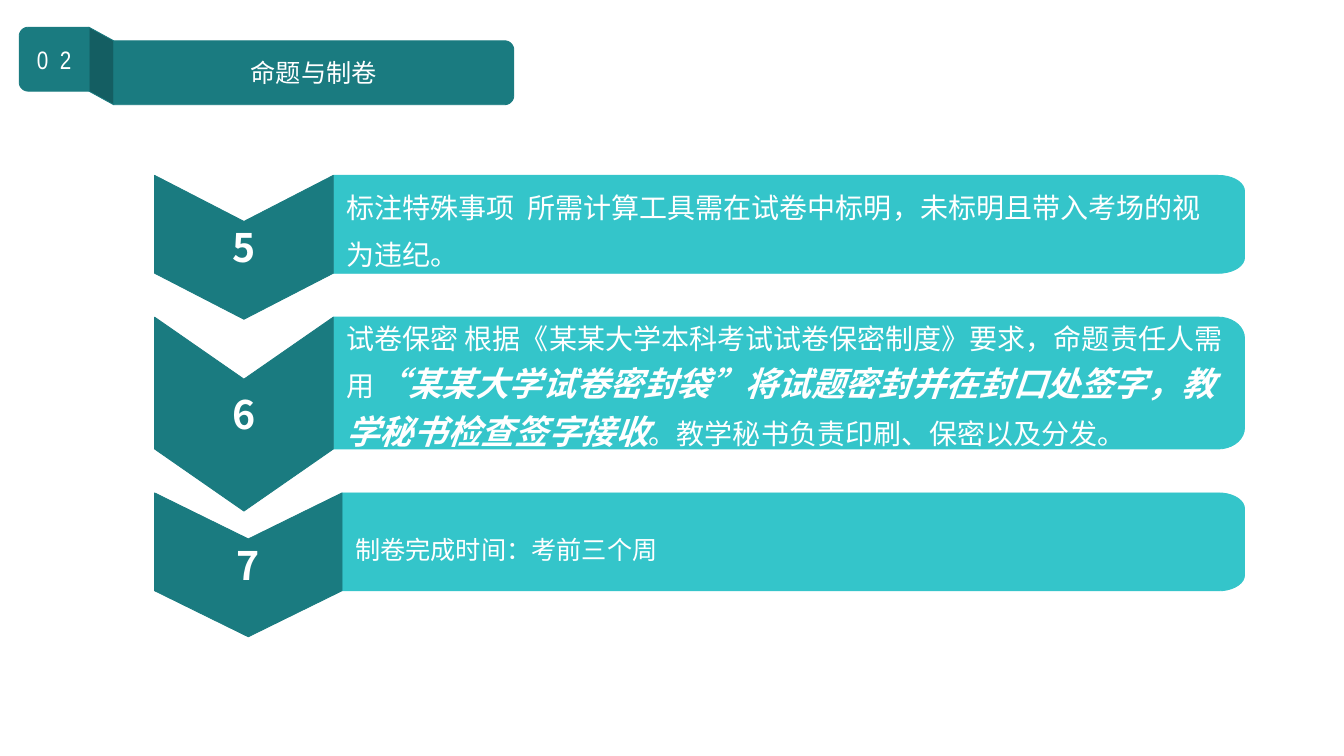
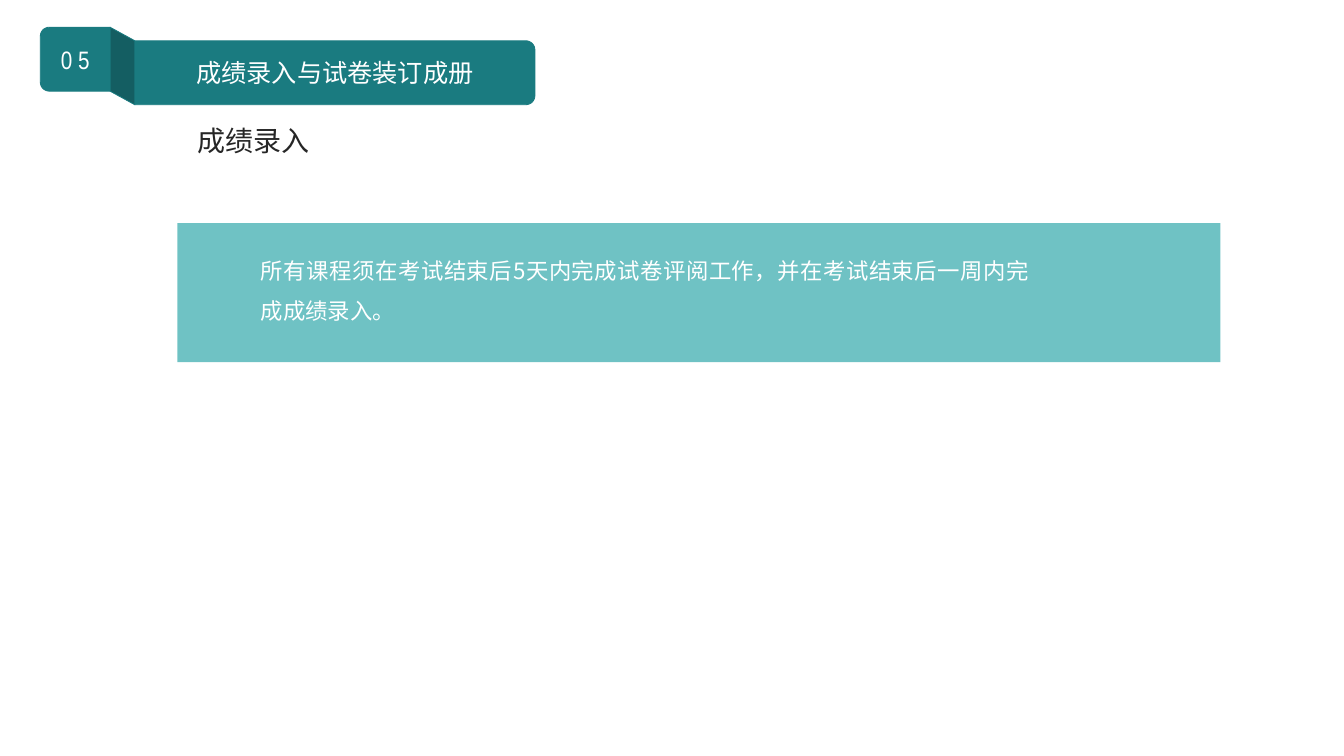
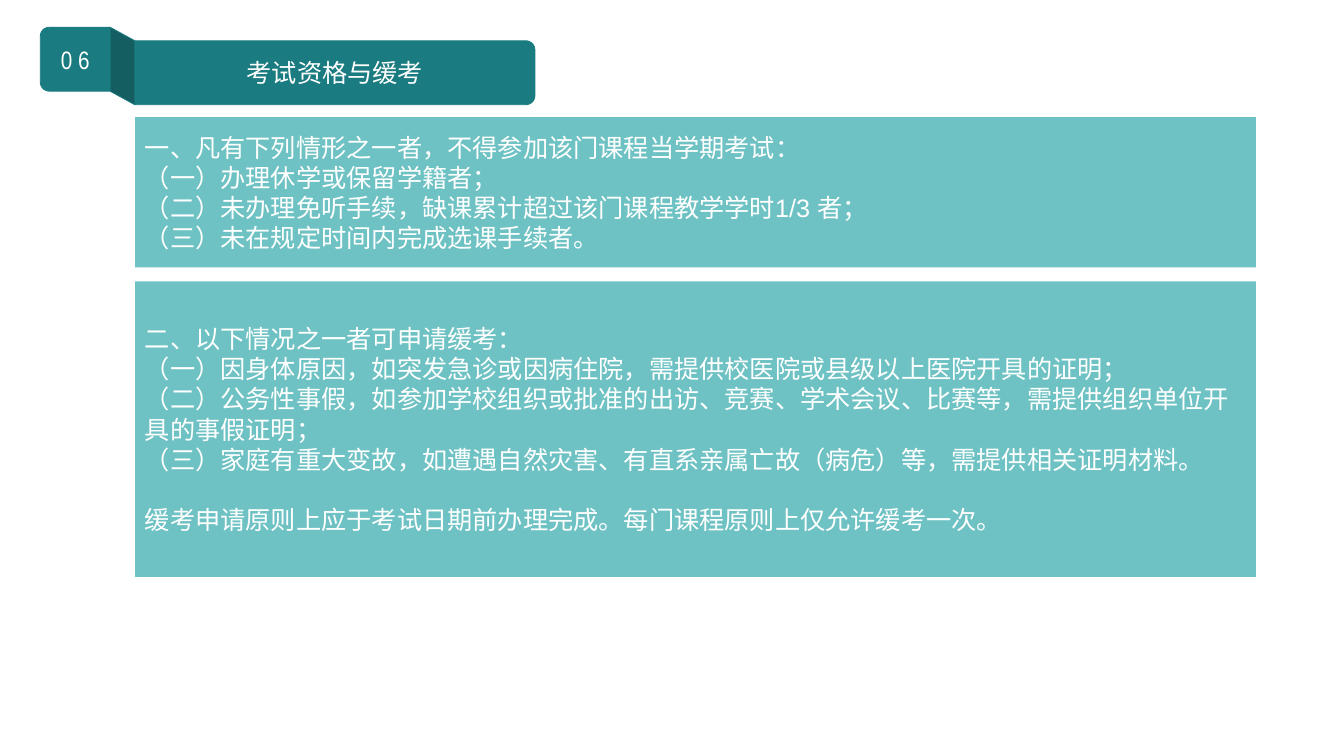
from dataclasses import dataclass
from math import cos, radians, sin

from lxml import etree
from pptx import Presentation
from pptx import util as u
from pptx.dml.color import RGBColor
from pptx.enum import lang, shapes, text
from pptx.oxml import ns

SLIDE_WIDTH, SLIDE_HEIGHT = u.Inches(13.33), u.Inches(7.5)

TEAL = RGBColor(0x1A, 0x7B, 0x80)
FOLD_TEAL = RGBColor(0x14, 0x5E, 0x62)
CARD_TURQUOISE = RGBColor(0x34, 0xC5, 0xCA)
PANEL_TEAL = RGBColor(0x33, 0xA9, 0xAB)
WHITE = RGBColor(0xFF, 0xFF, 0xFF)
INK = RGBColor(0x26, 0x26, 0x26)

CHINESE_FONT = "Noto Sans CJK SC"
CENTER = text.PP_ALIGN.CENTER
LEFT = text.PP_ALIGN.LEFT
JUSTIFY = text.PP_ALIGN.JUSTIFY
MIDDLE = text.MSO_ANCHOR.MIDDLE
TOP = text.MSO_ANCHOR.TOP
NO_INSETS = (0, 0, 0, 0)
CARD_INSETS = (0.13, 0, 0.17, 0)
PANEL_INSETS = (0.1, 0.05, 0.1, 0.05)


@dataclass
class Box:
    """A rectangle in percent of the slide's width and height."""
    left: float
    top: float
    width: float
    height: float

    def point(self, x, y):
        """EMU position of a point given in percent of this box."""
        return (round(SLIDE_WIDTH * (self.left + self.width * x / 100) / 100),
                round(SLIDE_HEIGHT * (self.top + self.height * y / 100) / 100))

    def inner(self, left, top, width, height):
        """A box inside this one, given in percent of it."""
        return Box(self.left + self.width * left / 100,
                   self.top + self.height * top / 100,
                   self.width * width / 100, self.height * height / 100)

    def frame(self):
        left, top = self.point(0, 0)
        right, bottom = self.point(100, 100)
        return left, top, right - left, bottom - top


@dataclass
class Span:
    """A run of text; spacing is extra letter spacing in points."""
    words: str
    size: float
    color: RGBColor = WHITE
    font: str = CHINESE_FONT
    bold: bool = False
    italic: bool = False
    spacing: float = 0


def write(shape, paragraphs, align=LEFT, anchor=MIDDLE, insets=NO_INSETS,
          line_spacing=1.0, wrap=True):
    """Fill a shape with paragraphs, each a list of spans."""
    frame = shape.text_frame
    frame.word_wrap = wrap
    frame.vertical_anchor = anchor
    (frame.margin_left, frame.margin_top, frame.margin_right,
     frame.margin_bottom) = map(u.Inches, insets)
    for index, spans in enumerate(paragraphs):
        paragraph = frame.add_paragraph() if index else frame.paragraphs[0]
        paragraph.alignment = align
        paragraph.line_spacing = line_spacing
        for span in spans:
            add_span(paragraph, span)


def add_span(paragraph, span):
    run = paragraph.add_run()
    run.text = span.words
    font = run.font
    font.name, font.size = span.font, u.Pt(span.size)
    font.bold, font.italic = span.bold, span.italic
    font.color.rgb = span.color
    font.language_id = lang.MSO_LANGUAGE_ID.SIMPLIFIED_CHINESE
    properties = run._r.get_or_add_rPr()
    if span.spacing:
        properties.set("spc", str(round(span.spacing * 100)))
    east_asian = etree.SubElement(properties, ns.qn("a:ea"))
    east_asian.set("typeface", CHINESE_FONT)


def add_outline(slide, box, points, fill, line=TEAL):
    """Closed freeform whose points are in percent of the box."""
    corners = [box.point(x, y) for x, y in points]
    builder = slide.shapes.build_freeform(*corners[0], scale=1.0)
    builder.add_line_segments(corners[1:], close=True)
    shape = builder.convert_to_shape()
    shape.shadow.inherit = False
    shape.fill.solid()
    shape.fill.fore_color.rgb = fill
    shape.line.color.rgb = line
    shape.line.width = u.Pt(0.6)
    return shape


def right_rounded(radius_x, radius_y):
    """Outline with its two right corners rounded, in percent."""
    points = [(0, 0)]
    for first_angle, center_y in ((-90, radius_y), (0, 100 - radius_y)):
        for angle in range(first_angle, first_angle + 91, 10):
            points.append((100 - radius_x + radius_x * cos(radians(angle)),
                           center_y + radius_y * sin(radians(angle))))
    return points + [(0, 100)]


def left_rounded(radius_x, radius_y):
    return [(100 - x, y) for x, y in right_rounded(radius_x, radius_y)]


def add_header(slide, left, number, title):
    """Folded ribbon: numbered tab, dark fold and title bar."""
    box = Box(left, 3.6, 36.8, 10.25)
    bar = add_outline(slide, box.inner(19.1, 17.5, 80.9, 82.5),
                      right_rounded(2.3, 14), TEAL)
    write(bar, [[Span(title, 18)]], CENTER)
    add_outline(slide, box.inner(14.1, 0, 5, 100),
                [(0, 0), (100, 17.5), (100, 100), (0, 82.5)], FOLD_TEAL)
    tab = add_outline(slide, box.inner(0, 0, 14.1, 82.5),
                      left_rounded(13, 14), TEAL)
    write(tab, [number], CENTER)


def tab_number(first, second, spacing=0):
    style = {"size": 18, "font": "Arial Narrow"}
    return [Span(first, **style), Span(" ", spacing=spacing, **style),
            Span(second, **style)]


def add_step(slide, box, number, spans, line_spacing, chevron_width):
    """Text card with a numbered chevron hanging below its left end."""
    card = add_outline(
        slide, box.inner(chevron_width, 0, 100 - chevron_width, 100),
        right_rounded(2.9, 16), CARD_TURQUOISE, CARD_TURQUOISE)
    write(card, [spans], insets=CARD_INSETS, line_spacing=line_spacing)
    chevron = add_outline(
        slide, box.inner(0, 0, chevron_width, 147),
        [(0, 0), (50, 32), (100, 0), (100, 68), (50, 100), (0, 68)], TEAL)
    write(chevron, [[Span(number, 28, bold=True)]], CENTER)


def add_panel(slide, box):
    """Translucent teal rectangle."""
    panel = slide.shapes.add_shape(shapes.MSO_SHAPE.RECTANGLE, *box.frame())
    panel.shadow.inherit = False
    panel.fill.solid()
    panel.fill.fore_color.rgb = PANEL_TEAL
    panel.line.fill.background()
    color = panel._element.spPr.find(".//" + ns.qn("a:srgbClr"))
    etree.SubElement(color, ns.qn("a:alpha")).set("val", "70000")
    return panel


def add_rules(slide, box, lines):
    panel = add_panel(slide, box)
    write(panel, [[Span(line, 18, font="Arial")] for line in lines],
          insets=PANEL_INSETS)
    return panel


def build_paper_slide(slide):
    add_header(slide, 1.43, tab_number("0", "2", 4), "命题与制卷")
    steps = [
        ("5", 12.95, 1.4, 16.4, [
            Span("标注特殊事项", 20),
            Span(" ", 20, spacing=4.5),
            Span("所需计算工具需在试卷中标明，未标明且带入考场的视为违纪。", 20)]),
        ("6", 17.45, 1.2, 16.4, [
            Span("试卷保密 根据《某某大学本科考试试卷保密制度》要求，命题责任人需用", 20),
            Span("“某某大学试卷密封袋”将试题密封并在封口处签字，教学秘书检查签字接收",
                 24, bold=True, italic=True),
            Span("。教学秘书负责印刷、保密以及分发。", 20)]),
        ("7", 12.95, 1.5, 17.2, [Span("制卷完成时间：考前三个周", 18)]),
    ]
    top, gap = 23.2, 5.8
    for number, height, line_spacing, chevron_width, spans in steps:
        add_step(slide, Box(11.5, top, 81.1, height), number, spans,
                 line_spacing, chevron_width)
        top += height + gap


def build_grades_slide(slide):
    subtitle = slide.shapes.add_textbox(*Box(13.95, 15.7, 9.9, 5.9).frame())
    write(subtitle, [[Span("成绩录入", 20, INK)]], anchor=TOP,
          insets=PANEL_INSETS, wrap=False)
    panel_box = Box(13.2, 29.5, 77.6, 18.4)
    add_panel(slide, panel_box)
    body = slide.shapes.add_textbox(*panel_box.inner(8, 15, 73.7, 84).frame())
    write(body, [[Span("所有课程须在考试结束后5天内完成试卷评阅工作，"
                       "并在考试结束后一周内完成成绩录入。", 16)]],
          JUSTIFY, TOP, line_spacing=1.5)
    add_header(slide, 3, tab_number("0", "5"), "成绩录入与试卷装订成册")


def build_eligibility_slide(slide):
    add_header(slide, 3, tab_number("0", "6"), "考试资格与缓考")
    area = Box(10.05, 15.5, 83.4, 60.8)
    add_rules(slide, area.inner(0, 0, 100, 32.7), [
        "一、凡有下列情形之一者，不得参加该门课程当学期考试：",
        "（一）办理休学或保留学籍者；",
        "（二）未办理免听手续，缺课累计超过该门课程教学学时1/3 者；",
        "（三）未在规定时间内完成选课手续者。",
    ])
    deferral = add_rules(slide, area.inner(0, 35.7, 100, 64.3), [
        "二、以下情况之一者可申请缓考：",
        "（一）因身体原因，如突发急诊或因病住院，需提供校医院或县级以上医院开具的证明；",
        "（二）公务性事假，如参加学校组织或批准的出访、竞赛、学术会议、比赛等，"
        "需提供组织单位开具的事假证明；",
        "（三）家庭有重大变故，如遭遇自然灾害、有直系亲属亡故（病危）等，需提供相关证明材料。",
        "缓考申请原则上应于考试日期前办理完成。每门课程原则上仅允许缓考一次。",
    ])
    deferral.text_frame.paragraphs[-1].space_before = u.Pt(21.6)


def main():
    presentation = Presentation()
    presentation.slide_width = SLIDE_WIDTH
    presentation.slide_height = SLIDE_HEIGHT
    blank = presentation.slide_layouts[6]
    for build in (build_paper_slide, build_grades_slide,
                  build_eligibility_slide):
        build(presentation.slides.add_slide(blank))
    presentation.save("out.pptx")


if __name__ == "__main__":
    main()
